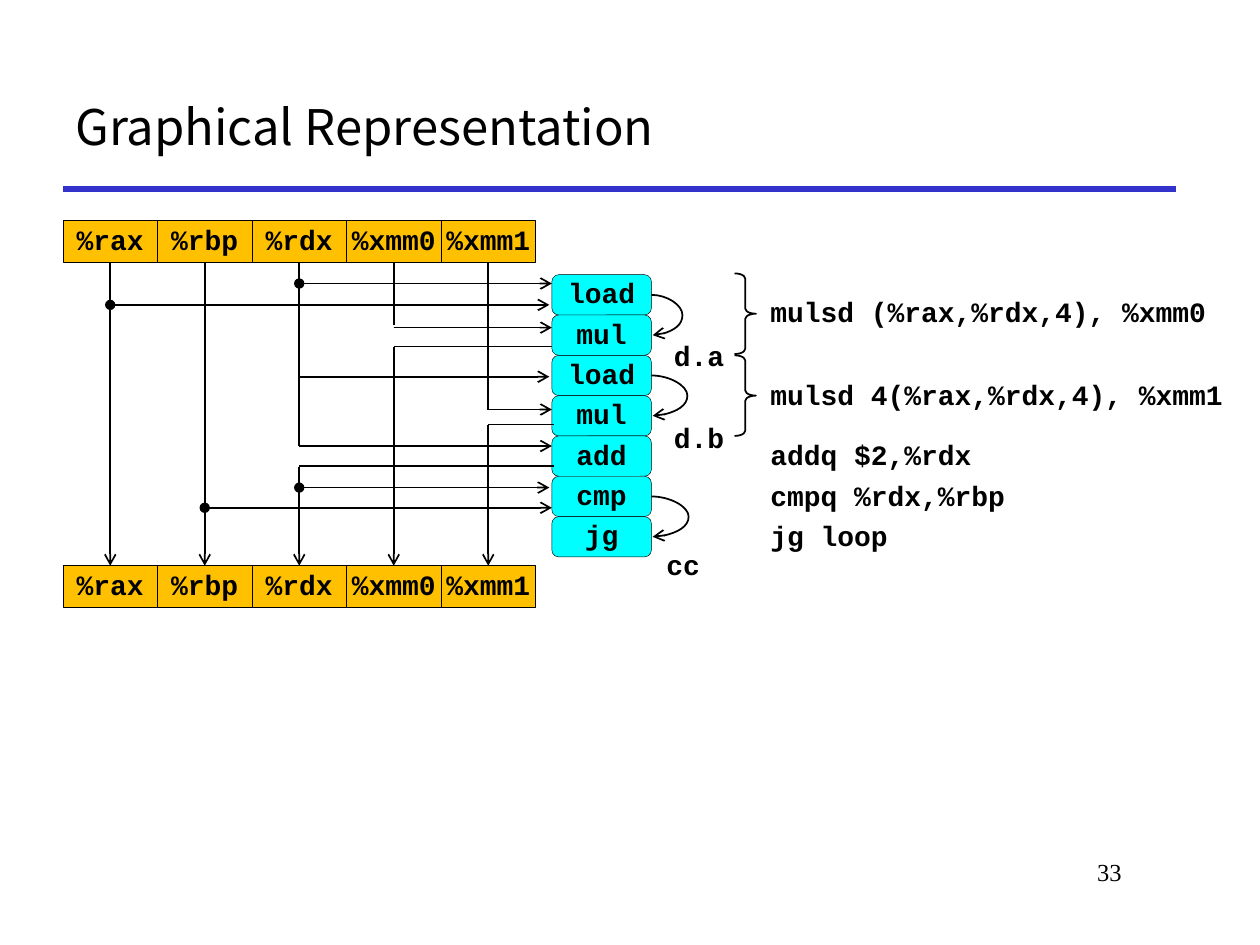
"""Build the data-flow slide for an unrolled multiply loop."""
from lxml.etree import SubElement as Sub
from pptx import Presentation
from pptx.dml.color import RGBColor as Color
from pptx.enum.shapes import MSO_CONNECTOR as Link, MSO_SHAPE as Kind
from pptx.enum.text import MSO_ANCHOR as Anchor, MSO_AUTO_SIZE as Auto, PP_ALIGN as Align
from pptx.oxml.ns import qn
from pptx.util import Inches, Pt

TITLE = "Graphical Representation"
PAGE = "33"
REGS = ["%rax", "%rbp", "%rdx", "%xmm0", "%xmm1"]
OPS = ["load", "mul", "load", "mul", "add", "cmp", "jg"]
CODE = [
    ("mulsd (%rax,%rdx,4), %xmm0", 2.32, 3.75),
    ("mulsd 4(%rax,%rdx,4), %xmm1", 2.98, 4),
    ("addq $2,%rdx", 3.46, 2.75),
    ("cmpq %rdx,%rbp", 3.78, 2.75),
    ("jg loop", 4.1, 2.75),
]
TAGS = [("d.a", 5.25, 2.67, 0.61), ("d.b", 5.25, 3.32, 0.61), ("cc", 5.19, 4.33, 0.47)]
BRACES = [2.17, 2.82]
LOOPS = [(0, 0.25), (2, 0.29), (5, 0.3)]
FALLS = {"%rdx": (3.54, 3.71), "%xmm0": (2.58, 2.75), "%xmm1": (3.25, 3.37)}
WIRES = [
    ("%rdx", 2.25, 4.38, "oval", "arrow"),
    ("%rax", 2.42, 4.36, "oval", "arrow"),
    ("%xmm0", 2.6, 4.38, None, "arrow"),
    ("%xmm0", 2.75, 4.38, None, None),
    ("%rdx", 2.99, 4.36, None, "arrow"),
    ("%xmm1", 3.25, 4.38, None, "arrow"),
    ("%xmm1", 3.37, 4.4, None, None),
    ("%rdx", 3.54, 4.38, None, "arrow"),
    ("%rdx", 3.7, 4.4, None, None),
    ("%rdx", 3.87, 4.36, "oval", "arrow"),
    ("%rbp", 4.03, 4.38, "oval", "arrow"),
]

THEME = {
    "ink": "000000", "rule": "3333CC", "reg": "FFC000", "op": "00FFFF",
    "title": {"name": "Noto Sans CJK KR", "size": Pt(28), "bold": False},
    "page": {"name": "Times New Roman", "size": Pt(14), "bold": False},
    "code": {"name": "Courier New", "size": Pt(16), "bold": True},
}
LEFT, TOP, BASE = 0.5, 1.75, 4.49
REG_W, REG_H = 0.75, 0.33
OP_X, OP_Y, OP_W, OP_H = 4.38, 2.18, 0.79, 0.32
PAD = ("margin_left", "margin_top", "margin_right", "margin_bottom")


def write(shape, text, font="code", align=Align.LEFT, **frame):
    body = shape.text_frame
    for key, val in {"word_wrap": True, **frame}.items():
        setattr(body, key, val)
    para = body.paragraphs[0]
    para.alignment = align
    if font == "code":
        para.line_spacing = 0.9
    run = para.add_run()
    run.text = text
    for key, val in THEME[font].items():
        setattr(run.font, key, val)
    run.font.color.rgb = Color.from_string(THEME["ink"])


def ink(line, color="ink", width=1):
    line.color.rgb = Color.from_string(THEME[color])
    line.width = Pt(width)


def place(slide, kind, x, y, w, h, fill=None, edge=None):
    shape = slide.shapes.add_shape(kind, *map(Inches, (x, y, w, h)))
    shape.shadow.inherit = False
    if fill:
        shape.fill.solid()
        shape.fill.fore_color.rgb = Color.from_string(THEME[fill])
    else:
        shape.fill.background()
    if edge:
        ink(shape.line, width=edge)
    else:
        shape.line.fill.background()
    return shape


def cell(slide, kind, text, x, y, w, h, fill):
    shape = place(slide, kind, x, y, w, h, fill, 0.25)
    write(shape, text, align=Align.CENTER, vertical_anchor=Anchor.MIDDLE,
          **dict.fromkeys(PAD, 0))
    return shape


def wire(slide, x, y, to_x, to_y, head=None, tail=None, kind=Link.STRAIGHT, **look):
    link = slide.shapes.add_connector(kind, *map(Inches, (x, y, to_x, to_y)))
    ink(link.line, **look)
    prop = link.line._get_or_add_ln()
    for tag, end in (("a:headEnd", head), ("a:tailEnd", tail)):
        if end:
            Sub(prop, qn(tag), type=end)
    Sub(link._element.spPr, qn("a:effectLst"))
    return link


def label(slide, text, x, y, w, h, *style, **frame):
    box = slide.shapes.add_textbox(*map(Inches, (x, y, w, h)))
    write(box, text, *style, **frame)


def frame(slide):
    title = slide.shapes.title
    spot = {"left": LEFT, "top": 0.5, "width": 8.83, "height": 1}
    for key, val in spot.items():
        setattr(title, key, Inches(val))
    write(title, TITLE, "title", vertical_anchor=Anchor.MIDDLE, auto_size=Auto.NONE)
    wire(slide, LEFT, 1.5, 9.33, 1.5, color="rule", width=3)
    label(slide, PAGE, 7.58, 6.75, 1.42, 0.5, "page", Align.RIGHT)


def flow(slide):
    mid = {}
    for i, name in enumerate(REGS):
        x = LEFT + i * REG_W
        mid[name] = x + REG_W / 2
        first, last = [cell(slide, Kind.RECTANGLE, name, x, y, REG_W, REG_H, "reg")
                       for y in (TOP, BASE)]
        stop, start = FALLS.get(name, (BASE, None))
        tail = None if start else "arrow"
        drop = wire(slide, mid[name], TOP + REG_H, mid[name], stop, tail=tail)
        drop.begin_connect(first, 2)
        if start:
            drop = wire(slide, mid[name], start, mid[name], BASE, tail="arrow")
        drop.end_connect(last, 0)
    for i, name in enumerate(OPS):
        shape = cell(slide, Kind.ROUNDED_RECTANGLE, name, OP_X, OP_Y + i * OP_H,
                     OP_W, OP_H, "op")
        shape.adjustments[0] = 0.17
    for name, y, end, head, tail in WIRES:
        wire(slide, mid[name], y, end, y, head, tail)


def notes(slide):
    right, step = OP_X + OP_W, 0.01
    for row, reach in LOOPS:
        y = OP_Y + (row + 0.5) * OP_H
        bend = wire(slide, right, y, right + step, y + OP_H, tail="arrow", kind=Link.CURVE)
        geom = bend._element.spPr.find(qn("a:prstGeom"))
        Sub(geom.find(qn("a:avLst")), qn("a:gd"), name="adj1",
            fmla=f"val {round(reach / step * 100000)}")
    for y in BRACES:
        brace = place(slide, Kind.RIGHT_BRACE, 5.83, y, 0.17, 0.64, edge=1)
        brace.adjustments[0] = 0.24
    for text, y, w in CODE:
        write(place(slide, Kind.ROUNDED_RECTANGLE, 6, y, w, 0.33), text,
              vertical_anchor=Anchor.MIDDLE)
    for text, x, y, w in TAGS:
        label(slide, text, x, y, w, 0.35, word_wrap=False, auto_size=Auto.SHAPE_TO_FIT_TEXT)


def main():
    deck = Presentation()
    deck.slide_width, deck.slide_height = Inches(10), Inches(7.5)
    slide = deck.slides.add_slide(deck.slide_layouts[5])
    for draw in (frame, flow, notes):
        draw(slide)
    deck.save("out.pptx")


if __name__ == "__main__":
    main()
